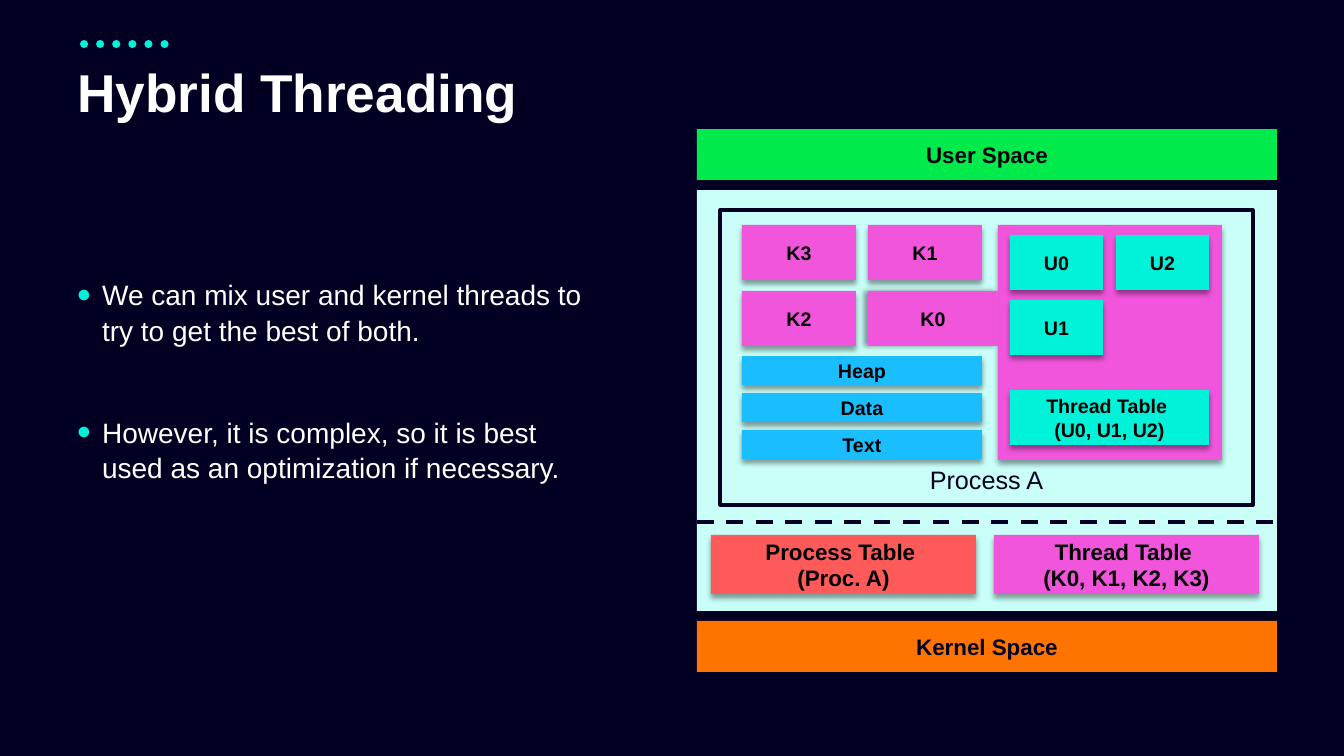
from lxml.etree import SubElement
from pptx import Presentation
from pptx.dml.color import RGBColor
from pptx.enum.dml import MSO_LINE
from pptx.enum.shapes import MSO_CONNECTOR, MSO_SHAPE
from pptx.enum.text import MSO_ANCHOR, MSO_AUTO_SIZE, PP_ALIGN
from pptx.oxml.ns import qn
from pptx.util import Pt

TITLE = "Hybrid Threading"
BULLETS = [
    "We can mix user and kernel threads to try to get the best of both.",
    "However, it is complex, so it is best used as an optimization if necessary.",
]
SPACES = [("User Space", 129, "green", "black"), ("Kernel Space", 621, "orange", "navy")]
TABLES = [("Process Table \v(Proc. A)", "red"), ("Thread Table \v(K0, K1, K2, K3)", "pink")]
SEGMENTS = ["Heap", "Data", "Text"]
KERNEL_THREADS = [("K3", 0, 0), ("K1", 1, 0), ("K2", 0, 1), ("K0", 1, 1)]
USER_THREADS = [("U0", 0, 0), ("U2", 1, 0), ("U1", 0, 1)]
USER_TABLE = "Thread Table \v(U0, U1, U2)"

COLORS = {
    "navy": "010022", "white": "FFFFFF", "black": "000000", "teal": "00F3D8",
    "green": "00EB4B", "orange": "FF7300", "pale": "CAFFF9", "red": "FF5A5A",
    "pink": "F155DC", "blue": "1ABEFF",
}
FONT = "Arial"
SCALE = 914400 / 100.8
SLIDE_SIZE = (1344, 756)
DIAGRAM_LEFT, DIAGRAM_WIDTH = 697, 580
MEMORY_LEFT, MEMORY_TOP = 742, 225
USER_LEFT, USER_TOP = 1010, 235
THREAD_HEIGHT = 55


def px(value):
    return round(value * SCALE)


def color(name):
    return RGBColor.from_string(COLORS[name])


def style_font(paragraph, size, color_name, bold):
    for run in paragraph.runs:
        run.font.name = FONT
        run.font.size = Pt(size)
        run.font.bold = bold
        run.font.color.rgb = color(color_name)


def place(shape, left, top, width, height):
    shape.left, shape.top = px(left), px(top)
    shape.width, shape.height = px(width), px(height)


def add_shadow(shape, angle):
    effects = shape._element.spPr.find(qn("a:effectLst"))
    shadow = SubElement(effects, qn("a:outerShdw"), blurRad=str(Pt(4)), dist=str(Pt(3)),
                        dir=str(angle * 60000), algn="ctr", rotWithShape="0")
    tint = SubElement(shadow, qn("a:srgbClr"), val=COLORS["black"])
    SubElement(tint, qn("a:alpha"), val="40000")


def add_box(slide, box, fill, text="", size=14, text_color="black", bold=True, shadow_angle=90):
    shape = slide.shapes.add_shape(MSO_SHAPE.RECTANGLE, *map(px, box))
    shape.fill.solid()
    shape.fill.fore_color.rgb = color(fill)
    shape.line.fill.background()
    shape.shadow.inherit = False
    if shadow_angle is not None:
        add_shadow(shape, shadow_angle)
    if text:
        frame = shape.text_frame
        frame.text = text
        frame.vertical_anchor = MSO_ANCHOR.MIDDLE
        frame.paragraphs[0].alignment = PP_ALIGN.CENTER
        style_font(frame.paragraphs[0], size, text_color, bold)
    return shape


def add_line(slide, left, right, y, color_name, width, dash):
    connector = slide.shapes.add_connector(
        MSO_CONNECTOR.STRAIGHT, px(left), px(y), px(right), px(y))
    connector.line.color.rgb = color(color_name)
    connector.line.width = Pt(width)
    connector.line.dash_style = dash
    SubElement(connector._element.spPr, qn("a:effectLst"))
    return connector


def add_title(slide):
    title = slide.shapes.title
    place(title, 67, 61, 1137, 69)
    title.text_frame.text = TITLE
    title.text_frame.vertical_anchor = MSO_ANCHOR.MIDDLE
    paragraph = title.text_frame.paragraphs[0]
    paragraph.alignment = PP_ALIGN.LEFT
    paragraph.line_spacing = 0.9
    style_font(paragraph, 38, "white", True)


def add_bullets(slide):
    body = slide.placeholders[1]
    place(body, 67, 271, 537, 213)
    frame = body.text_frame
    frame.text = "\n".join(BULLETS)
    frame.auto_size = MSO_AUTO_SIZE.NONE
    frame.vertical_anchor = MSO_ANCHOR.TOP
    for index, paragraph in enumerate(frame.paragraphs):
        paragraph.line_spacing = 1.05
        paragraph.space_before = Pt(48 if index else 0)
        properties = paragraph._p.get_or_add_pPr()
        properties.set("marL", str(px(25)))
        properties.set("indent", str(px(-25)))
        bullet_color = SubElement(properties, qn("a:buClr"))
        SubElement(bullet_color, qn("a:srgbClr"), val=COLORS["teal"])
        SubElement(properties, qn("a:buSzPct"), val="140000")
        SubElement(properties, qn("a:buFont"), typeface=FONT)
        SubElement(properties, qn("a:buChar"), char="•")
        style_font(paragraph, 20, "white", False)


def add_diagram(slide):
    for text, top, fill, text_color in SPACES:
        add_box(slide, (DIAGRAM_LEFT, top, DIAGRAM_WIDTH, 51), fill, text, 16, text_color,
                shadow_angle=None)
    add_box(slide, (DIAGRAM_LEFT, 190, DIAGRAM_WIDTH, 421), "pale", shadow_angle=None)
    add_line(slide, DIAGRAM_LEFT, DIAGRAM_LEFT + DIAGRAM_WIDTH, 522, "navy", 3, MSO_LINE.DASH)
    for index, (text, fill) in enumerate(TABLES):
        add_box(slide, (711 + 283 * index, 535, 265, 59), fill, text, 16)

    process = add_box(slide, (720, 210, 533, 295), "pale", "Process A", 18, "navy", False, None)
    process.line.color.rgb = color("navy")
    process.line.width = Pt(2.25)
    process.text_frame.vertical_anchor = MSO_ANCHOR.BOTTOM
    process.text_frame.margin_bottom = px(10)

    for index, text in enumerate(SEGMENTS):
        add_box(slide, (MEMORY_LEFT, 356 + 37 * index, 240, 29), "blue", text)
    add_box(slide, (998, MEMORY_TOP, 224, 235), "pink")
    for text, column, row in KERNEL_THREADS:
        joined = text == "K0"
        box = (MEMORY_LEFT + 126 * column, MEMORY_TOP + 66 * row,
               130 if joined else 114, THREAD_HEIGHT)
        add_box(slide, box, "pink", text, shadow_angle=180 if joined else 90)
    for text, column, row in USER_THREADS:
        add_box(slide, (USER_LEFT + 106 * column, USER_TOP + 65 * row, 93, THREAD_HEIGHT),
                "teal", text)
    add_box(slide, (USER_LEFT, 390, 199, THREAD_HEIGHT), "teal", USER_TABLE)


def main():
    presentation = Presentation()
    presentation.slide_width, presentation.slide_height = map(px, SLIDE_SIZE)
    slide = presentation.slides.add_slide(presentation.slide_layouts[1])
    slide.background.fill.solid()
    slide.background.fill.fore_color.rgb = color("navy")
    dots = add_line(slide, 84, 168, 44, "teal", 5.75, MSO_LINE.ROUND_DOT)
    dots.line._get_or_add_ln().set("cap", "rnd")
    add_title(slide)
    add_bullets(slide)
    add_diagram(slide)
    presentation.save("out.pptx")


if __name__ == "__main__":
    main()
